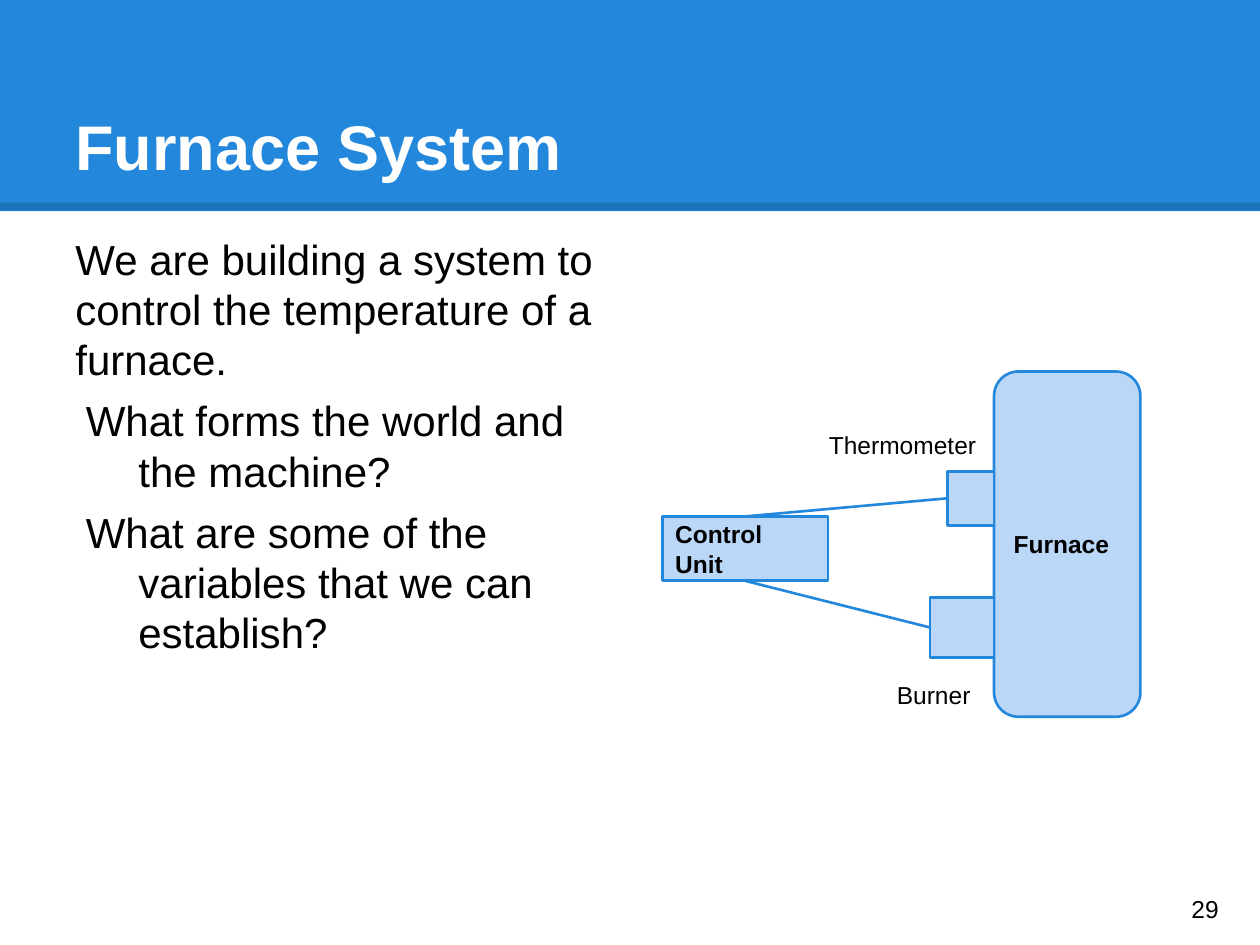
"""Build the Furnace System slide."""
from lxml import etree
from pptx import Presentation
from pptx.dml.color import RGBColor
from pptx.enum.shapes import MSO_CONNECTOR, MSO_SHAPE
from pptx.enum.text import MSO_ANCHOR, MSO_AUTO_SIZE, PP_ALIGN
from pptx.oxml.ns import qn
from pptx.util import Cm, Pt

RECT, ROUND = MSO_SHAPE.RECTANGLE, MSO_SHAPE.ROUNDED_RECTANGLE
STRAIGHT = MSO_CONNECTOR.STRAIGHT
TOP, MIDDLE, BOTTOM = MSO_ANCHOR.TOP, MSO_ANCHOR.MIDDLE, MSO_ANCHOR.BOTTOM
LEFT, NO_FIT = PP_ALIGN.LEFT, MSO_AUTO_SIZE.NONE
SIDE_TOP, SIDE_LEFT, SIDE_BOTTOM = 0, 1, 2
COLORS = {"blue": "2388DB", "pale": "BBD7F8", "black": "000000", "white": "FFFFFF"}


class Deck:
    """Hold the style and the current slide."""

    def __init__(self, prs):
        self.s = prs.slides.add_slide(prs.slide_layouts[1])
        self.font = "Arial"
        self.inset = Cm(0.25)

    def color(self, name):
        return RGBColor.from_string(COLORS[name])

    def fill_text(self, sp, lines, size, color="black", bold=False, anchor=TOP, before=0, hanging=False):
        tf = sp.text_frame
        frame = {"word_wrap": True, "auto_size": NO_FIT, "vertical_anchor": anchor}
        frame.update({f"margin_{side}": self.inset for side in ("left", "top", "right", "bottom")})
        for key, value in frame.items():
            setattr(tf, key, value)
        for i, line in enumerate(lines):
            p = tf.add_paragraph() if i else tf.paragraphs[0]
            pPr = p._p.get_or_add_pPr()
            indented = hanging and i
            pPr.set("marL", str(Cm(1.27) if indented else 0))
            pPr.set("indent", str(Cm(-1.06) if indented else 0))
            etree.SubElement(pPr, qn("a:buNone"))
            p.alignment = LEFT
            p.space_before = Pt(before if i else 0)
            r = p.add_run()
            r.text = line
            for key, value in {"name": self.font, "size": Pt(size), "bold": bold}.items():
                setattr(r.font, key, value)
            r.font.color.rgb = self.color(color)

    def placeholder(self, index, box, lines, size, **style):
        sp = self.s.placeholders[index]
        for key, value in zip(("left", "top", "width", "height"), box):
            setattr(sp, key, Cm(value))
        self.fill_text(sp, lines, size, **style)

    def label(self, box, text, anchor=TOP):
        sp = self.s.shapes.add_textbox(*map(Cm, box))
        self.fill_text(sp, [text], 14, anchor=anchor)

    def shape(self, kind, box, text=None, fill="pale", line="blue"):
        sp = self.s.shapes.add_shape(kind, *map(Cm, box))
        sp.shadow.inherit = False
        sp.fill.solid()
        sp.fill.fore_color.rgb = self.color(fill)
        if line:
            sp.line.color.rgb = self.color(line)
            sp.line.width = Pt(1.5)
        else:
            sp.line.fill.background()
        if text:
            self.fill_text(sp, [text], 14, bold=True, anchor=MIDDLE)
        return sp

    def line(self, ends=(0, 0, 0, 0), color="blue", width=1.5):
        c = self.s.shapes.add_connector(STRAIGHT, *map(Cm, ends))
        c.line.color.rgb = self.color(color)
        c.line.width = Pt(width)
        etree.SubElement(c._element.spPr, qn("a:effectLst"))
        return c

    def join(self, start, start_side, end, end_side):
        c = self.line()
        c.begin_connect(start, start_side)
        c.end_connect(end, end_side)

    def header(self, width, height):
        band = self.shape(RECT, (0, 0, width, height), fill="blue", line=None)
        edge = self.line((0, height - 0.1, width, height - 0.1), "black", 4.5)
        rgb = edge._element.spPr.find(".//" + qn("a:srgbClr"))
        etree.SubElement(rgb, qn("a:alpha"), val="15000")
        for i, sp in enumerate((band, edge)):
            self.s.shapes._spTree.insert(2 + i, sp._element)


def main():
    prs = Presentation()
    prs.slide_width, prs.slide_height = Cm(25.4), Cm(19.05)
    deck = Deck(prs)
    deck.header(25.4, 4.26)
    deck.placeholder(0, (1.27, 0.76, 22.86, 3.18), ["Furnace System"], 36,
                     color="white", bold=True, anchor=BOTTOM)
    deck.placeholder(1, (1.27, 4.45, 11.1, 13.79), [
        "We are building a system to control the temperature of a furnace.",
        "What forms the world and the machine?",
        "What are some of the variables that we can establish?",
    ], 24, before=6, hanging=True)

    deck.shape(ROUND, (20.04, 7.49, 2.95, 6.96), "Furnace")
    control = deck.shape(RECT, (13.36, 10.41, 3.33, 1.3), "Control Unit")
    thermometer = deck.shape(RECT, (19.1, 9.5, 0.94, 1.09))
    burner = deck.shape(RECT, (18.75, 12.04, 1.29, 1.22))
    deck.join(control, SIDE_TOP, thermometer, SIDE_LEFT)
    deck.join(control, SIDE_BOTTOM, burner, SIDE_LEFT)
    deck.label((16.46, 8.41, 4.06, 1.09), "Thermometer")
    deck.label((17.83, 13.46, 2.79, 0.76), "Burner")
    deck.label((23.77, 17.6, 1.52, 1.45), "29", MIDDLE)
    prs.save("out.pptx")


if __name__ == "__main__":
    main()
